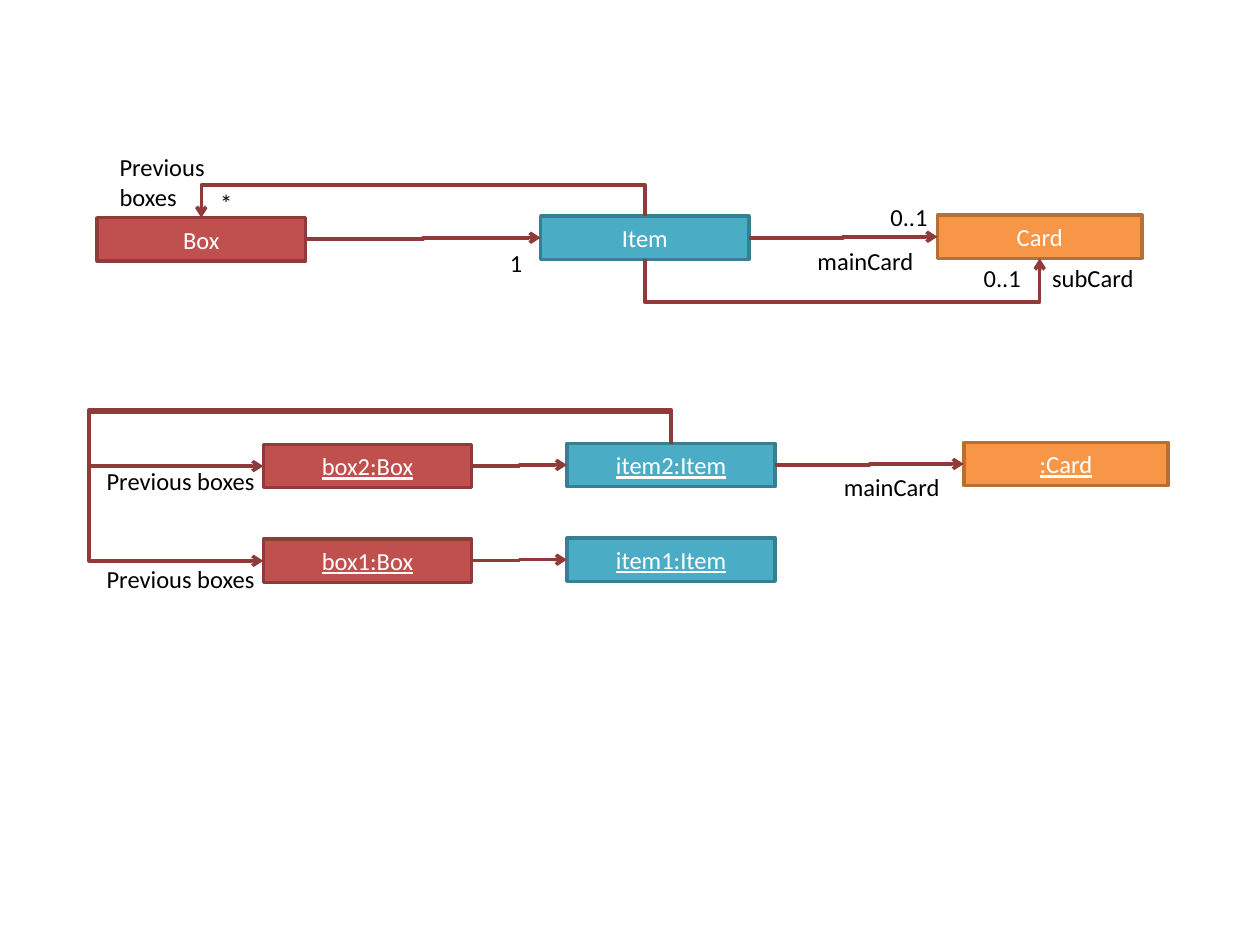
from lxml.etree import SubElement
from pptx import Presentation
from pptx.dml.color import RGBColor
from pptx.enum.shapes import MSO_CONNECTOR as Link, MSO_SHAPE as Shape
from pptx.enum.text import MSO_ANCHOR as Anchor, MSO_AUTO_SIZE as AutoSize, PP_ALIGN as Align
from pptx.oxml.ns import qn
from pptx.util import Cm, Pt

RED, DARK_RED = RGBColor(0xC0, 0x50, 0x4D), RGBColor(0x8E, 0x3B, 0x39)
TEAL, DARK_TEAL = RGBColor(0x4B, 0xAC, 0xC6), RGBColor(0x37, 0x7F, 0x92)
ORANGE, DARK_ORANGE = RGBColor(0xF7, 0x96, 0x46), RGBColor(0xB7, 0x6F, 0x34)
WHITE, BLACK = RGBColor(0xFF, 0xFF, 0xFF), RGBColor(0, 0, 0)

BOX = dict(fill=RED, border=DARK_RED, width=4.2)
ITEM = dict(fill=TEAL, border=DARK_TEAL, width=4.2)
CARD = dict(fill=ORANGE, border=DARK_ORANGE, width=4.12)
NODE_HEIGHT, LABEL_HEIGHT = 0.87, 0.86
TOP, BOTTOM, LEFT, RIGHT = (0.5, 0), (0.5, 1), (0, 0.5), (1, 0.5)


def write(frame, text, color=BLACK, align=Align.LEFT, underline=None):
    """Put one formatted paragraph in a text frame."""
    frame.word_wrap = True
    paragraph = frame.paragraphs[0]
    paragraph.alignment = align
    run = paragraph.add_run()
    run.text = text
    run.font.name, run.font.size = "Calibri", Pt(14)
    run.font.color.rgb = color
    run.font.underline = underline


def add_node(slide, text, x, y, fill, border, width, underline=None):
    """Draw a class or object rectangle."""
    node = slide.shapes.add_shape(Shape.RECTANGLE, Cm(x), Cm(y), Cm(width), Cm(NODE_HEIGHT))
    node.shadow.inherit = False
    node.fill.solid()
    node.fill.fore_color.rgb = fill
    node.line.color.rgb = border
    node.line.width = Pt(2)
    node.text_frame.vertical_anchor = Anchor.MIDDLE
    write(node.text_frame, text, WHITE, Align.CENTER, underline)
    return node


def add_label(slide, text, x, y, width):
    """Place a role name or multiplicity."""
    label = slide.shapes.add_textbox(Cm(x), Cm(y), Cm(width), Cm(LABEL_HEIGHT))
    label.text_frame.auto_size = AutoSize.SHAPE_TO_FIT_TEXT
    write(label.text_frame, text)


def anchor_point(node, side):
    """Return the middle of one side of a node."""
    across, down = side
    return round(node.left + across * node.width), round(node.top + down * node.height)


def add_arrow(slide, source, target, start=RIGHT, end=LEFT):
    """Draw an elbow arrow between two nodes."""
    arrow = slide.shapes.add_connector(
        Link.ELBOW, *anchor_point(source, start), *anchor_point(target, end))
    arrow.line.color.rgb = DARK_RED
    arrow.line.width = Pt(2)
    SubElement(arrow.line._get_or_add_ln(), qn("a:tailEnd"), type="arrow")
    SubElement(arrow._element.spPr, qn("a:effectLst"))
    return arrow


def add_loop(slide, source, target, start, end, rail_y, rail_x=None):
    """Draw an arrow that leaves vertically and runs along the given rails."""
    arrow = add_arrow(slide, source, target, start, end)
    (x1, y1), (x2, y2) = anchor_point(source, start), anchor_point(target, end)
    dx, dy = x2 - x1, y2 - y1
    arrow.width, arrow.height = abs(dy), abs(dx)
    arrow.left = (x1 + x2 - abs(dy)) // 2
    arrow.top = (y1 + y2 - abs(dx)) // 2

    properties = arrow._element.spPr
    frame = properties.find(qn("a:xfrm"))
    frame.set("rot", "16200000")
    frame.set("flipH", str(int(dy > 0)))
    frame.set("flipV", str(int(dx < 0)))

    bends = [(Cm(rail_y) - y1) / dy]
    if rail_x is not None:
        bends.append((Cm(rail_x) - x1) / dx)
    geometry = properties.find(qn("a:prstGeom"))
    geometry.set("prst", f"bentConnector{len(bends) + 2}")
    guides = geometry.find(qn("a:avLst"))
    for number, bend in enumerate(bends, 1):
        SubElement(guides, qn("a:gd"), name=f"adj{number}", fmla=f"val {round(bend * 100000)}")


def class_diagram(slide, x, y):
    """Draw the classes and their associations."""
    box = add_node(slide, "Box", x, y + 1.44, **BOX)
    item = add_node(slide, "Item", x + 8.94, y + 1.41, **ITEM)
    card = add_node(slide, "Card", x + 16.94, y + 1.39, **CARD)
    add_arrow(slide, box, item)
    add_arrow(slide, item, card)
    add_loop(slide, item, box, TOP, TOP, y + 0.78)
    add_loop(slide, item, card, BOTTOM, BOTTOM, y + 3.14)
    for text, left, top, width in (
        ("Previous boxes", 0.2, 0, 2.64),
        ("*", 2.23, 0.71, 1.09),
        ("1", 8.07, 1.93, 1.09),
        ("0..1", 15.74, 0.99, 1.3),
        ("mainCard", 14.27, 1.88, 2.49),
        ("0..1", 17.62, 2.23, 1.3),
        ("subCard", 19, 2.23, 2.49),
    ):
        add_label(slide, text, x + left, y + top, width)


def object_diagram(slide, x, y):
    """Draw the object instances and their links."""
    items = []
    for number, top, rail, label_top in ((2, 0.68, 0.05, 1.01), (1, 2.59, 0, 2.99)):
        box = add_node(slide, f"box{number}:Box", x + 3.51, y + top + 0.02, underline=True, **BOX)
        item = add_node(slide, f"item{number}:Item", x + 9.63, y + top, underline=True, **ITEM)
        items.append(item)
        add_arrow(slide, box, item)
        add_loop(slide, items[0], box, TOP, LEFT, y + rail, x)
        add_label(slide, "Previous boxes", x + 0.1, y + label_top, 4.01)
    card = add_node(slide, ":Card", x + 17.63, y + 0.66, underline=True, **CARD)
    add_arrow(slide, items[0], card)
    add_label(slide, "mainCard", x + 14.96, y + 1.14, 2.49)


def main():
    """Build and save the slide."""
    deck = Presentation()
    deck.slide_width, deck.slide_height = Cm(25.4), Cm(19.05)
    slide = deck.slides.add_slide(deck.slide_layouts[6])
    class_diagram(slide, 1.96, 2.95)
    object_diagram(slide, 1.8, 8.26)
    deck.save("out.pptx")


if __name__ == "__main__":
    main()
